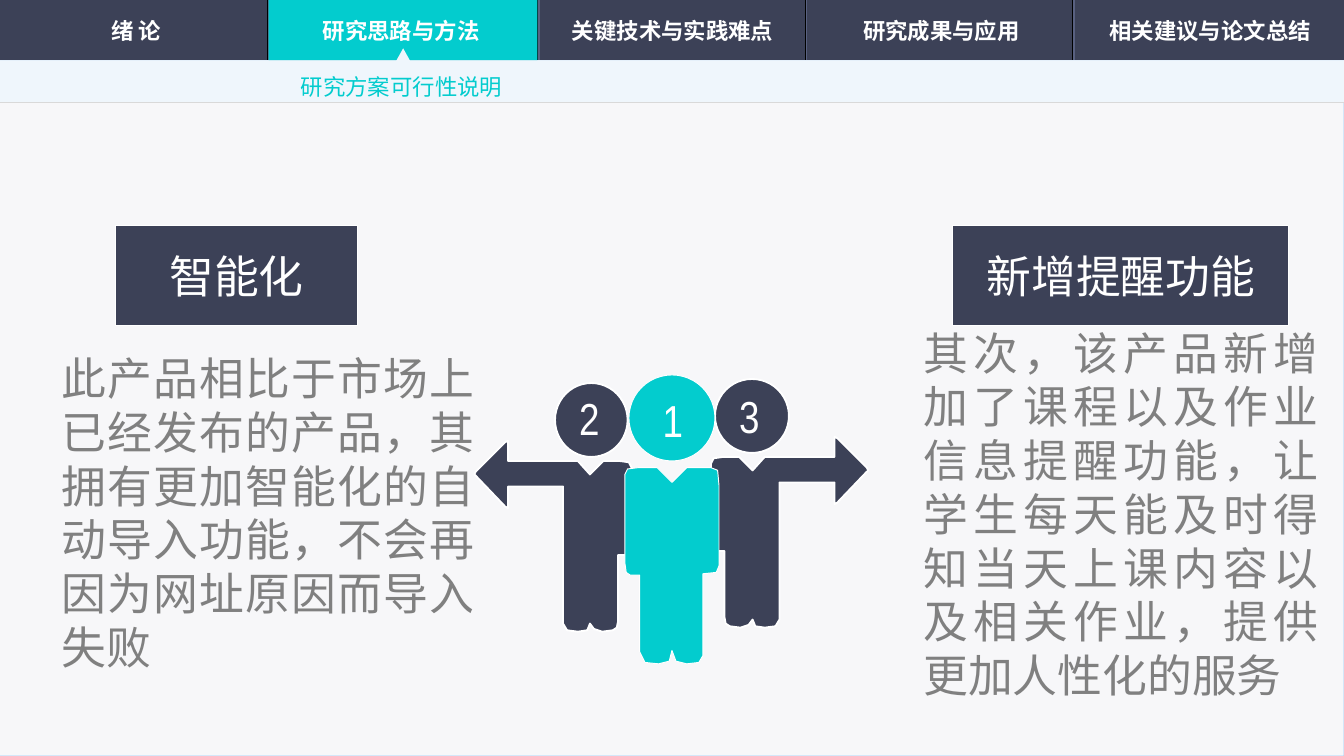
from dataclasses import dataclass, field

from lxml import etree
from pptx import Presentation
from pptx.dml.color import RGBColor
from pptx.enum.shapes import MSO_CONNECTOR, MSO_SHAPE
from pptx.enum.text import MSO_ANCHOR, MSO_AUTO_SIZE, PP_ALIGN
from pptx.oxml.ns import qn
from pptx.util import Inches, Pt

RECT, ROUND, OVAL = MSO_SHAPE.RECTANGLE, MSO_SHAPE.ROUNDED_RECTANGLE, MSO_SHAPE.OVAL
STRAIGHT = MSO_CONNECTOR.STRAIGHT
TOP, MIDDLE = MSO_ANCHOR.TOP, MSO_ANCHOR.MIDDLE
GROW = MSO_AUTO_SIZE.SHAPE_TO_FIT_TEXT
LEFT, CENTER, JUSTIFY = PP_ALIGN.LEFT, PP_ALIGN.CENTER, PP_ALIGN.JUSTIFY

COLORS = {
    "navy": "3C4157", "teal": "03CCCE", "slate": "3B445B", "paper": "F7F7F9",
    "edge": "D4E7F9", "strip": "EFF6FC", "rule": "D9D9D9", "groove": "596181",
    "black": "000000", "white": "FFFFFF", "gray": "808080",
}
CJK = "Noto Sans CJK SC"
NAV = {0.02: "绪 论", 1.99: "研究思路与方法", 4.01: "关键技术与实践难点",
       6.01: "研究成果与应用", 8.01: "相关建议与论文总结"}
NAV_H = 0.45

Box = tuple[float, float, float, float]
Points = list[tuple[float, float]]


@dataclass
class Style:
    color: str
    size: float = 24
    font: str = "Arial Narrow"
    align: PP_ALIGN = CENTER
    bold: bool = False
    spacing: float | None = None
    frame: dict = field(default_factory=lambda: {"vertical_anchor": MIDDLE})


@dataclass
class Topic:
    title: str
    title_box: Box
    body: str
    body_box: Box


@dataclass
class Person:
    number: str
    number_box: Box
    align: PP_ALIGN
    head: Box
    outline: Points
    color: str
    border: float


NO_INSET = {f"margin_{side}": 0 for side in ("left", "right", "top", "bottom")}
BODY = Style("gray", font="Arial", align=JUSTIFY,
             frame=NO_INSET | {"word_wrap": True, "auto_size": GROW, "vertical_anchor": TOP})
TITLE = Style("white")
TAB = Style("white", 12, CJK, bold=True)
SUBTITLE = Style("teal", 12, CJK, LEFT, spacing=1.5,
                 frame={"word_wrap": False, "auto_size": GROW, "vertical_anchor": MIDDLE})

ARROW_MAN = [
    (3.54, 3.51), (3.76, 3.29), (3.78, 3.28), (3.78, 3.43), (4.3, 3.43), (4.39, 3.53),
    (4.49, 3.43), (4.61, 3.43), (4.68, 3.44), (4.7, 3.48), (4.7, 4.05), (4.69, 4.11),
    (4.67, 4.13), (4.6, 4.13), (4.6, 4.62), (4.59, 4.67), (4.56, 4.69), (4.48, 4.7),
    (4.42, 4.68), (4.39, 4.64), (4.37, 4.69), (4.3, 4.7), (4.22, 4.69), (4.19, 4.64),
    (4.19, 3.62), (3.78, 3.62), (3.78, 3.78), (3.76, 3.77), (3.55, 3.55), (3.53, 3.53),
]
MIRRORED_MAN = [(9.99 - x, y - 0.03) for x, y in ARROW_MAN]
LEADER = [
    (5, 3.59), (5.11, 3.48), (5.29, 3.48), (5.34, 3.5), (5.35, 3.61), (5.35, 4.21),
    (5.33, 4.26), (5.23, 4.27), (5.23, 4.88), (5.2, 4.93), (5.11, 4.94), (5.03, 4.92),
    (5, 4.84), (4.98, 4.92), (4.9, 4.94), (4.8, 4.93), (4.76, 4.85), (4.76, 4.28),
    (4.69, 4.28), (4.66, 4.26), (4.65, 4.19), (4.65, 3.53), (4.67, 3.49), (4.75, 3.48),
    (4.89, 3.48),
]
STRIP = [(3, 0.36), (3.05, NAV_H), (10, NAV_H), (10, 0.76), (0, 0.76), (0, NAV_H), (2.95, NAV_H)]

PEOPLE = (
    Person("2", (4.31, 2.91, 0.17, 0.4), LEFT, (4.13, 2.85, 0.54, 0.55), ARROW_MAN, "navy", 1),
    Person("3", (5.5, 2.89, 0.18, 0.4), LEFT, (5.32, 2.82, 0.55, 0.55), MIRRORED_MAN, "navy", 1),
    Person("1", (4.93, 2.92, 0.13, 0.4), CENTER, (4.68, 2.79, 0.64, 0.64), LEADER, "teal", 0.5),
)
TOPICS = (
    Topic("新增提醒功能", (7.09, 1.68, 2.5, 0.74),
          "其次，该产品新增加了课程以及作业信息提醒功能，让学生每天能及时得知当天上课内容以及相关作业，提供更加人性化的服务",
          (6.87, 2.42, 2.94, 2.83)),
    Topic("智能化", (0.86, 1.68, 1.8, 0.74),
          "此产品相比于市场上已经发布的产品，其拥有更加智能化的自动导入功能，不会再因为网址原因而导入失败",
          (0.46, 2.61, 3.07, 2.42)),
)


def rgb(name: str) -> RGBColor:
    return RGBColor.from_string(COLORS[name])


def paint(sp, fill: str | None, line: str | None = None, width: float = 0.5):
    sp.shadow.inherit = False
    if fill:
        sp.fill.solid()
        sp.fill.fore_color.rgb = rgb(fill)
    else:
        sp.fill.background()
    if line:
        sp.line.color.rgb = rgb(line)
        sp.line.width = Pt(width)
    else:
        sp.line.fill.background()
    return sp


def add_shape(s, kind: MSO_SHAPE, box: Box, fill: str | None, line: str | None = None, width: float = 0.5):
    sp = s.shapes.add_shape(kind, *map(Inches, box))
    if kind == ROUND:
        sp.adjustments[0] = 0
    return paint(sp, fill, line, width)


def add_outline(s, points: Points, fill: str, line: str | None = None, width: float = 0.5):
    corners = [(Inches(x), Inches(y)) for x, y in points]
    fb = s.shapes.build_freeform(*corners[0], scale=1.0)
    fb.add_line_segments(corners[1:], close=True)
    return paint(fb.convert_to_shape(), fill, line, width)


def add_line(s, start: tuple, end: tuple, color: str, width: float = 0.5) -> None:
    cn = s.shapes.add_connector(STRAIGHT, *map(Inches, start + end))
    cn.line.color.rgb = rgb(color)
    cn.line.width = Pt(width)
    etree.SubElement(cn._element.spPr, qn("a:effectLst"))


def write(sp, text: str, style: Style) -> None:
    tf = sp.text_frame
    for name, value in style.frame.items():
        setattr(tf, name, value)
    p = tf.paragraphs[0]
    p.alignment = style.align
    if style.spacing:
        p.line_spacing = style.spacing
    r = p.add_run()
    r.text = text
    for name, value in {"size": Pt(style.size), "name": style.font, "bold": style.bold}.items():
        setattr(r.font, name, value)
    r.font.color.rgb = rgb(style.color)
    etree.SubElement(r._r.get_or_add_rPr(), qn("a:ea"), typeface=CJK)


def add_text(s, box: Box, text: str, style: Style) -> None:
    write(s.shapes.add_textbox(*map(Inches, box)), text, style)


def add_backdrop(s) -> None:
    fill = s.background.fill
    fill.gradient()
    fill.gradient_angle = 315
    for stop, color in zip(fill.gradient_stops, ("teal", "slate")):
        stop.color.rgb = rgb(color)
    add_shape(s, RECT, (0, 0, 10, NAV_H), "navy")
    add_shape(s, RECT, (0, NAV_H, 10, 5.17), "paper", "edge")
    for x in (1.99, 4, 5.99, 7.98):
        add_line(s, (x, 0), (x, NAV_H), "black")
        add_line(s, (x + 0.01, 0), (x + 0.01, NAV_H), "groove", 0.75)
    add_shape(s, RECT, (2, 0, 2, NAV_H), "teal")
    add_outline(s, STRIP, "strip")
    add_line(s, (0, 0.76), (10, 0.76), "rule")


def main() -> None:
    """Build the feasibility slide and save it."""
    prs = Presentation()
    prs.slide_width = Inches(10)
    prs.slide_height = Inches(10) * 9 // 16
    s = prs.slides.add_slide(prs.slide_layouts[6])
    add_backdrop(s)
    for person in PEOPLE:
        add_shape(s, OVAL, person.head, person.color, "white", person.border)
        add_outline(s, person.outline, person.color, "white", person.border)
    for person in PEOPLE:
        frame = NO_INSET | {"word_wrap": False, "auto_size": GROW, "vertical_anchor": TOP}
        add_text(s, person.number_box, person.number, Style("white", align=person.align, frame=frame))
    for topic in TOPICS:
        add_text(s, topic.body_box, topic.body, BODY)
        write(add_shape(s, ROUND, topic.title_box, "navy", "white"), topic.title, TITLE)
    for x, label in NAV.items():
        write(add_shape(s, ROUND, (x, 0.07, 1.99, 0.31), None), label, TAB)
    add_text(s, (2.14, 0.41, 1.72, 0.37), "研究方案可行性说明", SUBTITLE)
    prs.save("out.pptx")


if __name__ == "__main__":
    main()
